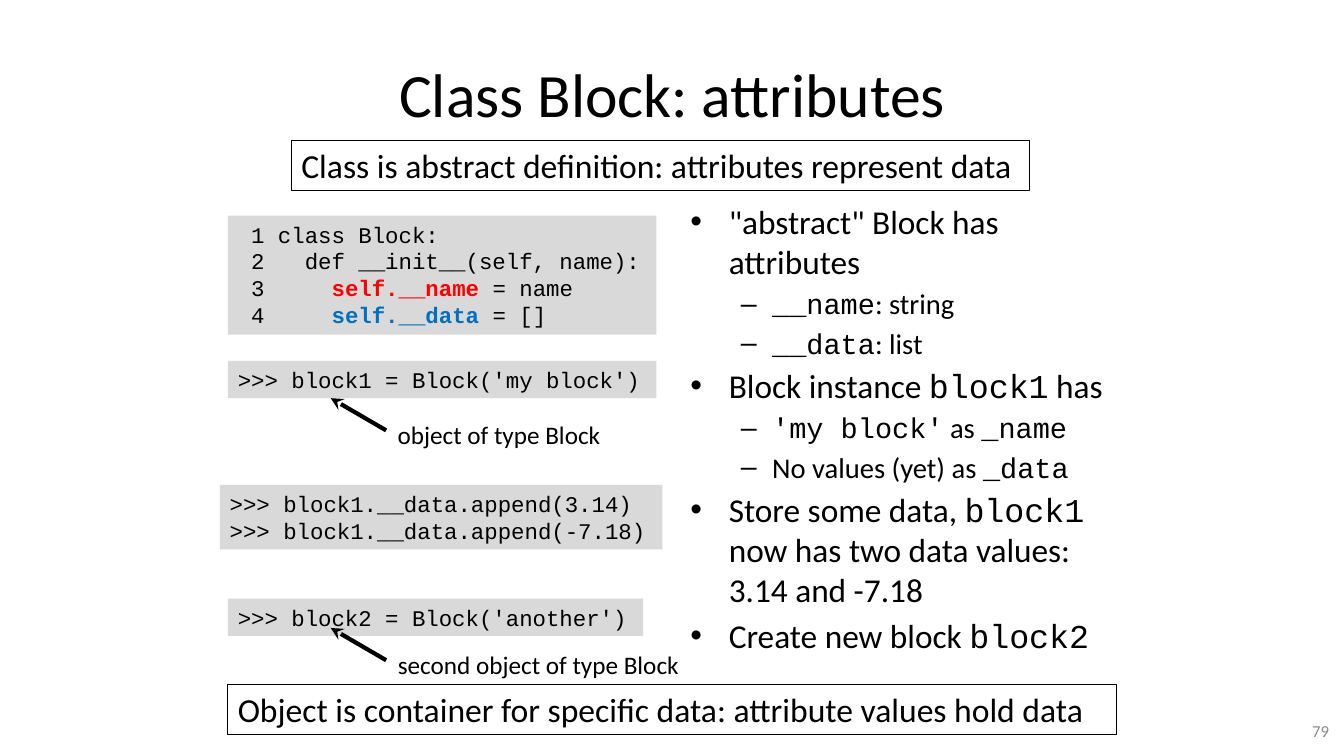
import pptx
import pptx.util
import pptx.dml.color
import pptx.enum.shapes
import pptx.enum.text
from lxml import etree

Inches, Pt = pptx.util.Inches, pptx.util.Pt
ALIGN = pptx.enum.text.PP_ALIGN
ANCHOR = pptx.enum.text.MSO_ANCHOR
NS = "http://schemas.openxmlformats.org/drawingml/2006/main"
SANS, MONO = "Calibri", "Courier New"


def paint(hue):
    return pptx.dml.color.RGBColor.from_string(hue)


def write(par, text, size, font=SANS, hue="000000", align=ALIGN.LEFT):
    """Fill a paragraph and return the runs between backticks."""
    par.alignment = align
    par.font.size, par.font.name = Pt(size), font
    par.font.color.rgb = paint(hue)
    marked = []
    for i, part in enumerate(text.split("`")):
        if part:
            run = par.add_run()
            run.text = part
            if i % 2:
                marked.append(run)
    return marked


deck = pptx.Presentation()
deck.slide_width, deck.slide_height = Inches(13.33), Inches(7.5)
slide = deck.slides.add_slide(deck.slide_layouts[6])
shapes = slide.shapes

# Title, arrow labels and page number
labels = [
    (0.67, 0.3, 12, 1.25, "Class Block: attributes", 44, "000000", ALIGN.CENTER, ANCHOR.MIDDLE),
    (3.83, 4.11, 2.24, 0.4, "object of type Block", 18, "000000", ALIGN.CENTER, ANCHOR.TOP),
    (3.83, 6.39, 3.02, 0.4, "second object of type Block", 18, "000000", ALIGN.CENTER, ANCHOR.TOP),
    (10.17, 7.05, 3.11, 0.4, "79", 12, "8C8C8C", ALIGN.RIGHT, ANCHOR.MIDDLE),
]
for x, y, w, h, text, size, hue, align, anchor in labels:
    frame = shapes.add_textbox(Inches(x), Inches(y), Inches(w), Inches(h)).text_frame
    frame.word_wrap = True
    frame.vertical_anchor = anchor
    write(frame.paragraphs[0], text, size, hue=hue, align=align)

# Bullet list: level, text with code between backticks
points = [
    (0, '"abstract" Block has attributes'),
    (1, "`__name`: string"),
    (1, "`__data`: list"),
    (0, "Block instance `block1` has"),
    (1, "`'my block'` as `_name`"),
    (1, "No values (yet) as `_data`"),
    (0, "Store some data, `block1` now has two data values: 3.14 and -7.18"),
    (0, "Create new block `block2`"),
]
# Bullet sign, text size, space before, left margin, hanging indent
levels = [("•", 23.8, 4, 0.38, -0.38), ("–", 20.4, 3.5, 0.81, -0.31)]
frame = shapes.add_textbox(Inches(6.75), Inches(1.95), Inches(4.42), Inches(4.95)).text_frame
frame.word_wrap = True
for i, (level, text) in enumerate(points):
    sign, size, gap, left, hang = levels[level]
    par = frame.add_paragraph() if i else frame.paragraphs[0]
    par.level = level
    props = par._p.get_or_add_pPr()
    props.set("marL", str(Inches(left)))
    props.set("indent", str(Inches(hang)))
    etree.SubElement(props, f"{{{NS}}}buFont", typeface="Arial")
    etree.SubElement(props, f"{{{NS}}}buChar", char=sign)
    par.space_before = Pt(gap if i else 0)
    for run in write(par, text, size):
        run.font.name = MONO

# Code panels and framed statements
code = (16, MONO, "D9D9D9")
claim = (24, SANS, None)
panels = [
    (2.26, 2.14, 4.25, 1.18, code, [
        " 1 class Block:",
        " 2   def __init__(self, name):",
        " 3     `self.__name` = name",
        " 4     `self.__data` = []",
    ]),
    (2.26, 3.58, 4.25, 0.37, code, [">>> block1 = Block('my block')"]),
    (2.18, 4.81, 4.39, 0.64, code, [
        ">>> block1.__data.append(3.14)",
        ">>> block1.__data.append(-7.18)",
    ]),
    (2.26, 5.94, 4.12, 0.37, code, [">>> block2 = Block('another')"]),
    (2.26, 6.79, 8.81, 0.5, claim,
     ["Object is container for specific data: attribute values hold data"]),
    (2.89, 1.39, 7.32, 0.5, claim,
     ["Class is abstract definition: attributes represent data"]),
]
accents = {"self.__name": "FF0000", "self.__data": "0070C0"}
for x, y, w, h, (size, font, fill), lines in panels:
    box = shapes.add_shape(pptx.enum.shapes.MSO_SHAPE.RECTANGLE,
                           Inches(x), Inches(y), Inches(w), Inches(h))
    box.shadow.inherit = False
    if fill:
        box.fill.solid()
        box.fill.fore_color.rgb = paint(fill)
        box.line.fill.background()
    else:
        box.fill.background()
        box.line.color.rgb = paint("000000")
        box.line.width = Pt(0.75)
    frame = box.text_frame
    frame.word_wrap = True
    frame.vertical_anchor = ANCHOR.TOP
    for i, text in enumerate(lines):
        par = frame.add_paragraph() if i else frame.paragraphs[0]
        for run in write(par, text, size, font):
            run.font.bold = True
            run.font.color.rgb = paint(accents[run.text])

# Arrows from the labels up to the objects
for top in (3.95, 6.23):
    arrow = shapes.add_connector(pptx.enum.shapes.MSO_CONNECTOR.STRAIGHT,
                                 Inches(3.83), Inches(top + 0.32), Inches(3.28), Inches(top))
    arrow.line.color.rgb = paint("000000")
    arrow.line.width = Pt(3)
    etree.SubElement(arrow.line._get_or_add_ln(), f"{{{NS}}}tailEnd", type="stealth")
    etree.SubElement(arrow._element.spPr, f"{{{NS}}}effectLst")

deck.save("out.pptx")
